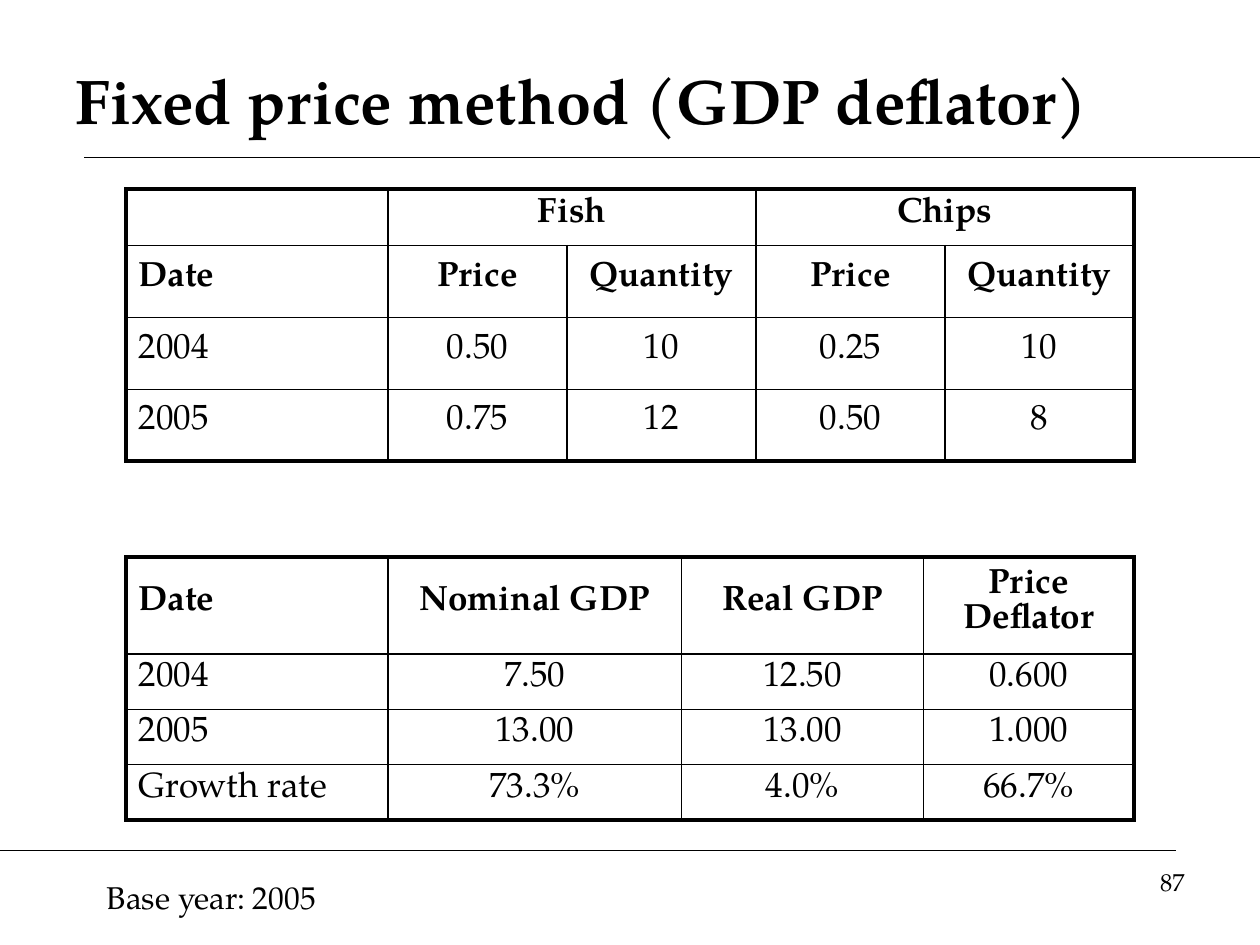
from lxml.etree import SubElement
from pptx import Presentation
from pptx.dml.color import RGBColor
from pptx.enum.shapes import MSO_CONNECTOR
from pptx.enum.text import MSO_ANCHOR, PP_ALIGN
from pptx.oxml import parse_xml
from pptx.oxml.ns import nsdecls, qn
from pptx.util import Inches, Pt

COLORS = {"ink": "000000", "background": "FFFFFF"}
FONT = "TeX Gyre Pagella"
THICK, THIN = Pt(2.25), Pt(1)


def format_text(text_frame, size, bold=False, alignment=PP_ALIGN.LEFT):
    for paragraph in text_frame.paragraphs:
        paragraph.alignment = alignment
        for run in paragraph.runs:
            run.font.name = FONT
            run.font.size = Pt(size)
            run.font.bold = bold
            run.font.color.rgb = RGBColor.from_string(COLORS["ink"])


def set_borders(cell, widths):
    properties = cell._tc.get_or_add_tcPr()
    for side, width in widths.items():
        properties.append(parse_xml(
            f'<a:ln{side} {nsdecls("a")} w="{width}"><a:solidFill>'
            f'<a:srgbClr val="{COLORS["ink"]}"/></a:solidFill></a:ln{side}>'))


presentation = Presentation()
presentation.slide_width = Inches(10)
presentation.slide_height = Inches(7.5)
slide = presentation.slides.add_slide(presentation.slide_layouts[5])
slide.background.fill.solid()
slide.background.fill.fore_color.rgb = RGBColor.from_string(COLORS["background"])

for start, end, y in [(0.67, 10, 1.25), (0, 9.33, 6.75)]:
    rule = slide.shapes.add_connector(
        MSO_CONNECTOR.STRAIGHT, Inches(start), Inches(y), Inches(end), Inches(y))
    rule.line.color.rgb = RGBColor.from_string(COLORS["ink"])
    rule.line.width = Pt(0.75)
    SubElement(rule._element.spPr, qn("a:effectLst"))

title = slide.shapes.title
title.left, title.top = Inches(0.5), Inches(0.33)
title.width, title.height = Inches(9), Inches(0.92)
title.text_frame.text = "Fixed price method (GDP deflator)"
title.text_frame.vertical_anchor = MSO_ANCHOR.MIDDLE
format_text(title.text_frame, 36, bold=True)

tables = [
    {
        "top": 1.5,
        "widths": [2.08, 1.42, 1.5, 1.5, 1.5],
        "heights": [0.45, 0.57, 0.57, 0.57],
        "header_rows": 2,
        "merges": [(0, 1, 2), (0, 3, 4)],
        "rows": [
            ["", "Fish", "", "Chips", ""],
            ["Date", "Price", "Quantity", "Price", "Quantity"],
            ["2004", "0.50", "10", "0.25", "10"],
            ["2005", "0.75", "12", "0.50", "8"],
        ],
    },
    {
        "top": 4.42,
        "widths": [2.08, 2.33, 1.92, 1.67],
        "heights": [0.77, 0.44, 0.44, 0.44],
        "header_rows": 1,
        "merges": [],
        "rows": [
            ["Date", "Nominal GDP", "Real GDP", "Price Deflator"],
            ["2004", "7.50", "12.50", "0.600"],
            ["2005", "13.00", "13.00", "1.000"],
            ["Growth rate", "73.3%", "4.0%", "66.7%"],
        ],
    },
]

for data in tables:
    row_count, column_count = len(data["heights"]), len(data["widths"])
    table = slide.shapes.add_table(
        row_count, column_count, Inches(1), Inches(data["top"]),
        Inches(sum(data["widths"])), Inches(sum(data["heights"]))).table
    table.first_row = False
    table.horz_banding = False
    for column, width in zip(table.columns, data["widths"]):
        column.width = Inches(width)
    for row, height in zip(table.rows, data["heights"]):
        row.height = Inches(height)
    for row_index, first, last in data["merges"]:
        table.cell(row_index, first).merge(table.cell(row_index, last))

    for row_index, texts in enumerate(data["rows"]):
        for column_index, text in enumerate(texts):
            cell = table.cell(row_index, column_index)
            if cell.is_spanned:
                continue
            span = cell.span_width if cell.is_merge_origin else 1
            set_borders(cell, {
                "L": THICK if column_index == 0 else THIN,
                "R": THICK if column_index + span == column_count else THIN,
                "T": THICK if row_index == 0 else THIN,
                "B": THICK if row_index == row_count - 1 else THIN,
            })
            cell.fill.background()
            cell.vertical_anchor = MSO_ANCHOR.MIDDLE
            cell.margin_top, cell.margin_bottom = Inches(0), Inches(0.05)
            cell.text_frame.text = text
            format_text(cell.text_frame, 20, row_index < data["header_rows"],
                        PP_ALIGN.CENTER if column_index else PP_ALIGN.LEFT)
            if text == "Price Deflator":
                cell.text_frame.paragraphs[0].line_spacing = Pt(20)

for text, left, top, width, height, size, alignment in [
    ("Base year: 2005", 0.75, 6.92, 5.25, 0.4, 18, PP_ALIGN.LEFT),
    ("87", 7.17, 6.83, 2.33, 0.52, 14, PP_ALIGN.RIGHT),
]:
    text_box = slide.shapes.add_textbox(
        Inches(left), Inches(top), Inches(width), Inches(height))
    text_box.text_frame.word_wrap = True
    text_box.text_frame.text = text
    format_text(text_box.text_frame, size, alignment=alignment)

presentation.save("out.pptx")
